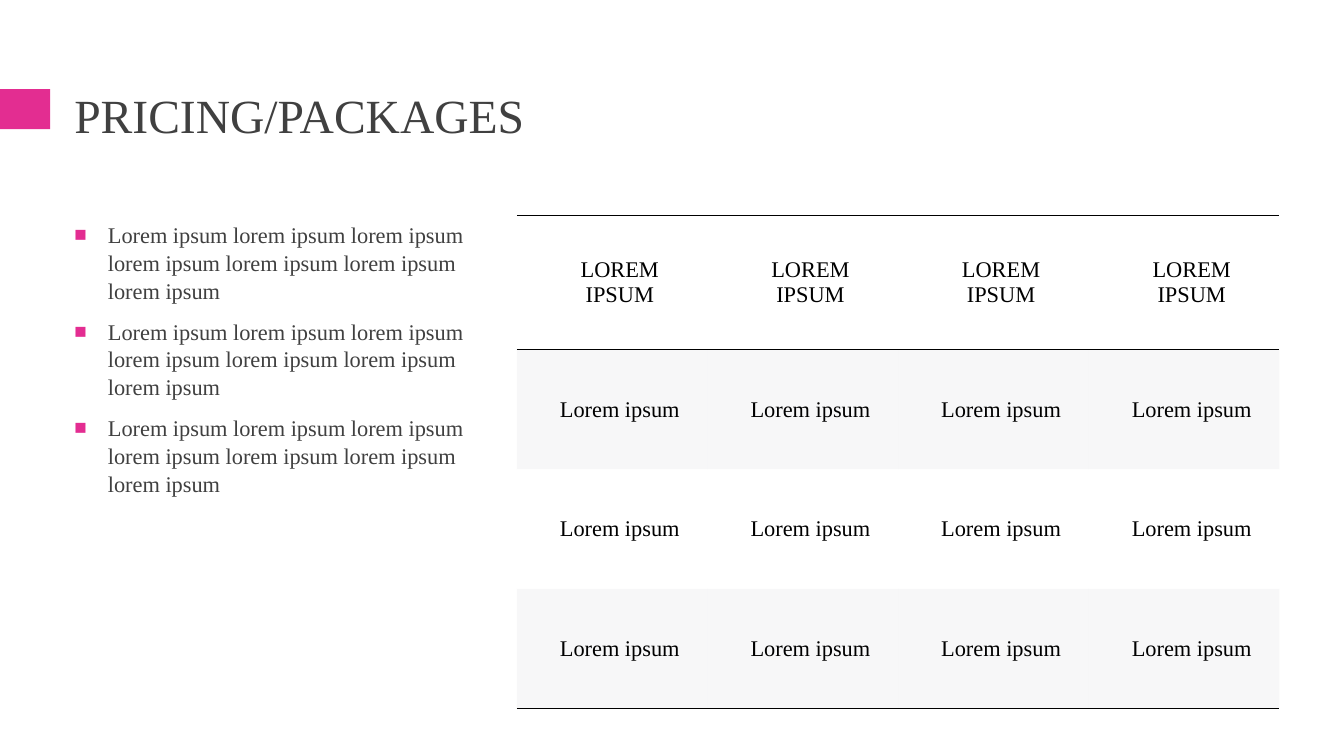
from dataclasses import dataclass
from typing import Any

from lxml import etree
from pptx import Presentation
from pptx.dml.color import RGBColor
from pptx.enum.shapes import MSO_SHAPE
from pptx.enum.text import MSO_ANCHOR, PP_ALIGN
from pptx.oxml.ns import qn
from pptx.util import Pt

RECTANGLE = MSO_SHAPE.RECTANGLE
TOP, MIDDLE = MSO_ANCHOR.TOP, MSO_ANCHOR.MIDDLE
LEFT, CENTER = PP_ALIGN.LEFT, PP_ALIGN.CENTER
BLANK_LAYOUT = 6
NO_STYLE_TABLE = "{2D5ABB26-0587-4C30-8999-92F81FD0307C}"


@dataclass(frozen=True)
class Theme:
    font: str = "Times New Roman"
    accent: str = "E32D91"
    text: str = "404040"
    table_text: str = "000000"
    rule: str = "000000"
    band: str = "D8D8DE"
    band_opacity: int = 20
    title_size: float = 34
    body_size: float = 16
    rule_width: float = 1


@dataclass(frozen=True)
class Box:
    left: float
    top: float
    width: float
    height: float

    def lengths(self) -> tuple[Pt, Pt, Pt, Pt]:
        return Pt(self.left), Pt(self.top), Pt(self.width), Pt(self.height)


@dataclass(frozen=True)
class PackageRow:
    label: str
    height: float
    rules: tuple[str, ...] = ()
    banded: bool = False


THEME = Theme()
ACCENT_BOX = Box(0, 63.6, 35.8, 28.6)
TITLE_BOX = Box(46, 55.4, 868, 58.3)
BODY_BOX = Box(46, 154, 304, 352)
TABLE_BOX = Box(369.2, 153.8, 544.8, 352.2)
COLUMN_COUNT = 4
BULLET_TEXT = " ".join(["Lorem ipsum"] + ["lorem ipsum"] * 6)
BULLETS = [BULLET_TEXT] * 3
PACKAGE_ROWS = [
    PackageRow("LOREM IPSUM", 96, rules=("a:lnT", "a:lnB")),
    PackageRow("Lorem ipsum", 85.4, banded=True),
    PackageRow("Lorem ipsum", 85.4),
    PackageRow("Lorem ipsum", 85.4, rules=("a:lnB",), banded=True),
]


def write_text(paragraph: Any, text: str, *, size: float = THEME.body_size,
               color: str = THEME.text, align: PP_ALIGN = LEFT,
               line_spacing: float = 1.0, before: float = 0, after: float = 0) -> None:
    paragraph.alignment = align
    paragraph.line_spacing = line_spacing
    paragraph.space_before, paragraph.space_after = Pt(before), Pt(after)
    run = paragraph.add_run()
    run.text = text
    run.font.name = THEME.font
    run.font.size = Pt(size)
    run.font.color.rgb = RGBColor.from_string(color)


def add_bullet(paragraph: Any) -> None:
    properties = paragraph._p.get_or_add_pPr()
    properties.set("marL", str(Pt(24)))
    properties.set("indent", str(Pt(-24)))
    color = etree.SubElement(properties, qn("a:buClr"))
    etree.SubElement(color, qn("a:srgbClr"), val=THEME.accent)
    etree.SubElement(properties, qn("a:buSzPct"), val="92000")
    etree.SubElement(properties, qn("a:buFont"), typeface=THEME.font)
    etree.SubElement(properties, qn("a:buChar"), char="■")


def add_text_frame(slide: Any, box: Box, anchor: MSO_ANCHOR) -> Any:
    frame = slide.shapes.add_textbox(*box.lengths()).text_frame
    frame.word_wrap = True
    frame.vertical_anchor = anchor
    return frame


def add_accent(slide: Any) -> None:
    shape = slide.shapes.add_shape(RECTANGLE, *ACCENT_BOX.lengths())
    shape.shadow.inherit = False
    shape.fill.solid()
    shape.fill.fore_color.rgb = RGBColor.from_string(THEME.accent)
    shape.line.fill.background()


def add_bullets(slide: Any) -> None:
    frame = add_text_frame(slide, BODY_BOX, TOP)
    for index, text in enumerate(BULLETS):
        paragraph = frame.add_paragraph() if index else frame.paragraphs[0]
        write_text(paragraph, text, line_spacing=1.03, before=3.7, after=6)
        add_bullet(paragraph)


def add_rule(cell: Any, side: str) -> None:
    line = etree.SubElement(cell._tc.get_or_add_tcPr(), qn(side),
                            w=str(Pt(THEME.rule_width)))
    fill = etree.SubElement(line, qn("a:solidFill"))
    etree.SubElement(fill, qn("a:srgbClr"), val=THEME.rule)


def fill_cell(cell: Any, banded: bool) -> None:
    if not banded:
        cell.fill.background()
        return
    cell.fill.solid()
    cell.fill.fore_color.rgb = RGBColor.from_string(THEME.band)
    color = cell._tc.tcPr.find(qn("a:solidFill")).find(qn("a:srgbClr"))
    etree.SubElement(color, qn("a:alpha"), val=str(THEME.band_opacity * 1000))


def format_cell(cell: Any, row: PackageRow) -> None:
    cell.vertical_anchor = MIDDLE
    cell.margin_left = Pt(26.6)
    cell.margin_top = cell.margin_right = cell.margin_bottom = Pt(15.8)
    write_text(cell.text_frame.paragraphs[0], row.label,
               color=THEME.table_text, align=CENTER)
    for side in row.rules:
        add_rule(cell, side)
    fill_cell(cell, row.banded)


def add_package_table(slide: Any) -> None:
    graphic_frame = slide.shapes.add_table(
        len(PACKAGE_ROWS), COLUMN_COUNT, *TABLE_BOX.lengths())
    table = graphic_frame.table
    table.first_row = table.horz_banding = False
    table._tbl.tblPr.find(qn("a:tableStyleId")).text = NO_STYLE_TABLE
    for column in table.columns:
        column.width = Pt(TABLE_BOX.width / COLUMN_COUNT)
    for table_row, row in zip(table.rows, PACKAGE_ROWS):
        table_row.height = Pt(row.height)
        for cell in table_row.cells:
            format_cell(cell, row)


def main() -> None:
    presentation = Presentation()
    presentation.slide_width, presentation.slide_height = Pt(960), Pt(540)
    slide = presentation.slides.add_slide(presentation.slide_layouts[BLANK_LAYOUT])

    # Accent block and bullet list
    add_accent(slide)
    add_bullets(slide)

    # Package table
    add_package_table(slide)

    # Title
    title = add_text_frame(slide, TITLE_BOX, MIDDLE)
    write_text(title.paragraphs[0], "PRICING/PACKAGES",
               size=THEME.title_size, line_spacing=0.9)

    presentation.save("out.pptx")


if __name__ == "__main__":
    main()
